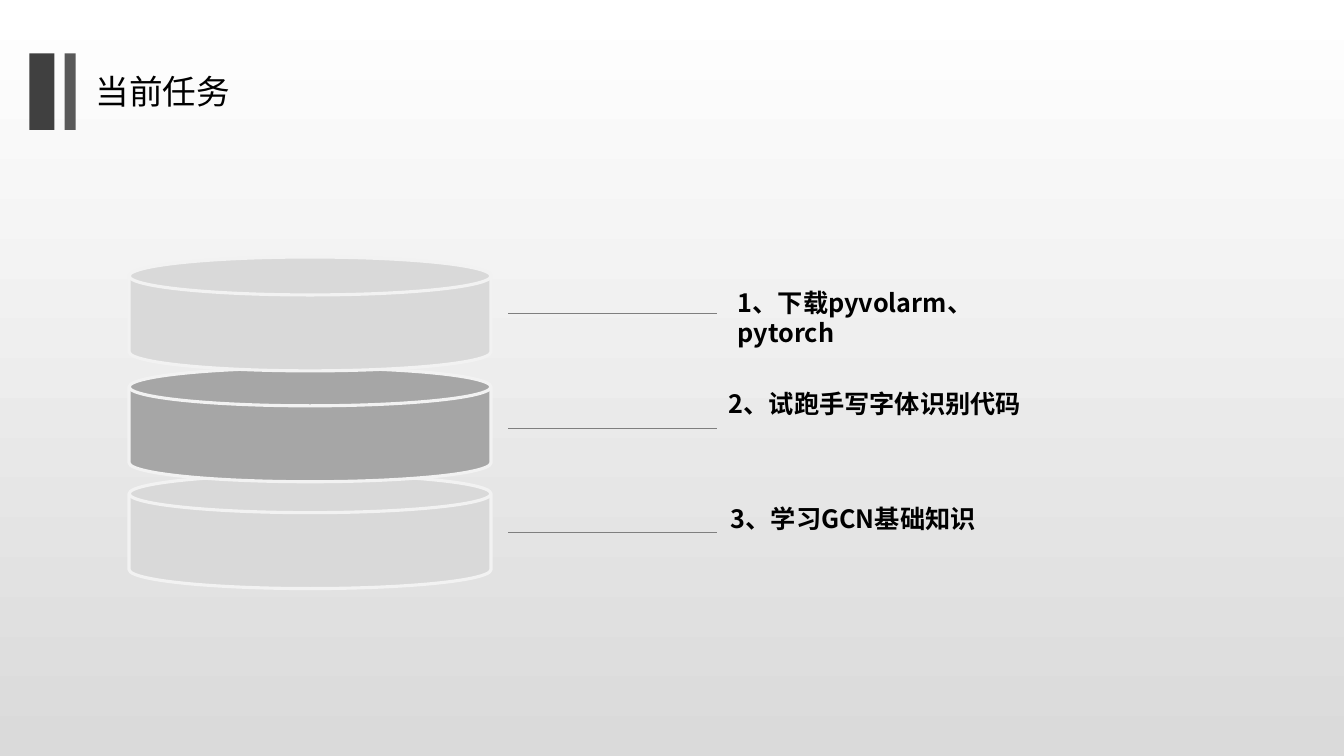
"""Build the current-tasks slide: three stacked discs with a labelled line each."""
from lxml.etree import SubElement
from pptx import Presentation
from pptx.dml.color import RGBColor
from pptx.enum.shapes import MSO_CONNECTOR, MSO_SHAPE
from pptx.oxml.ns import qn
from pptx.util import Inches, Pt

COLORS = {"top": "FFFFFF", "bottom": "DADADA", "bar": "404040", "thin_bar": "595959",
          "light": "D9D9D9", "dark": "A6A6A6", "edge": "F2F2F2",
          "line": "7F7F7F", "text": "000000"}
FONT = "Noto Sans CJK SC"


def add_filled(kind, box, fill):
    s = shapes.add_shape(kind, *map(Inches, box))
    s.shadow.inherit = False
    s.fill.solid()
    s.fill.fore_color.rgb = RGBColor.from_string(COLORS[fill])
    s.line.fill.background()
    return s


def add_text(text, box, **fmt):
    tf = shapes.add_textbox(*map(Inches, box)).text_frame
    tf.word_wrap = True
    p = tf.paragraphs[0]
    r = p.add_run()
    r.text = text
    for name, value in {"name": FONT, **fmt}.items():
        setattr(r.font, name, value)
    r.font.color.rgb = RGBColor.from_string(COLORS["text"])
    SubElement(r.font._element, qn("a:ea")).set("typeface", FONT)


prs = Presentation()
prs.slide_width, prs.slide_height = Inches(13.33), Inches(7.5)
slide = prs.slides.add_slide(prs.slide_layouts[6])
shapes = slide.shapes

fill = slide.background.fill
fill.gradient()
fill.gradient_angle = 270
for stop, name in zip(fill.gradient_stops, ("top", "bottom")):
    stop.color.rgb = RGBColor.from_string(COLORS[name])

for left, width, name in ((0.29, 0.25, "bar"), (0.64, 0.11, "thin_bar")):
    add_filled(MSO_SHAPE.RECTANGLE, (left, 0.53, width, 0.76), name)
add_text("当前任务", (0.85, 0.65, 3.6, 0.74), size=Pt(24))

for top, name in ((4.71, "light"), (3.65, "dark"), (2.55, "light")):
    s = add_filled(MSO_SHAPE.FLOWCHART_MAGNETIC_DISK, (1.28, top, 3.59, 1.13), name)
    s.line.color.rgb = RGBColor.from_string(COLORS["edge"])
    s.line.width = Pt(2.25)

tasks = (
    (3.11, "1、下载pyvolarm、pytorch", (7.22, 2.8, 3.45, 0.63)),
    (4.25, "2、试跑手写字体识别代码", (7.13, 3.8, 3.23, 0.71)),
    (5.28, "3、学习GCN基础知识", (7.15, 4.94, 3.79, 0.4)),
)
for y, text, box in tasks:
    c = shapes.add_connector(MSO_CONNECTOR.STRAIGHT, Inches(5.04), Inches(y),
                             Inches(7.11), Inches(y))
    c.line.color.rgb = RGBColor.from_string(COLORS["line"])
    c.line.width = Pt(0.5)
    SubElement(c._element.spPr, qn("a:effectLst"))
    add_text(text, box, size=Pt(18), bold=True)

prs.save("out.pptx")
